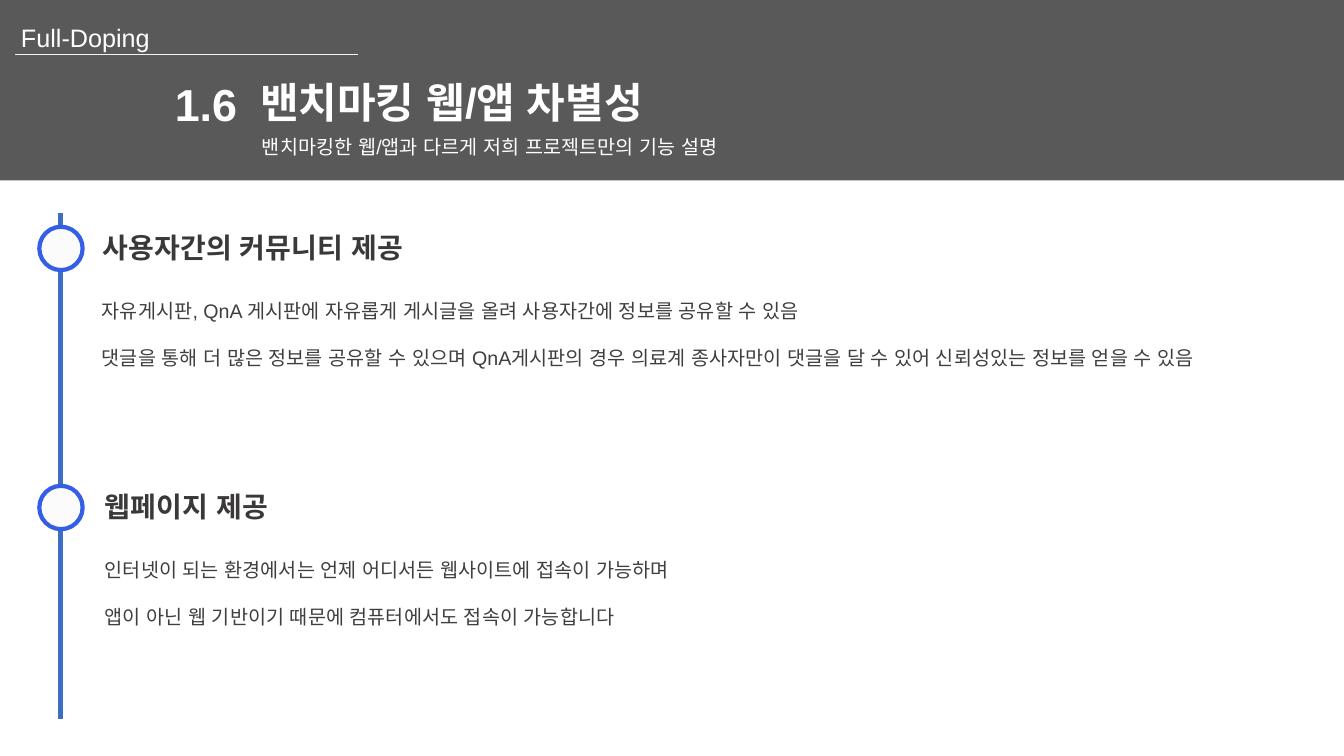
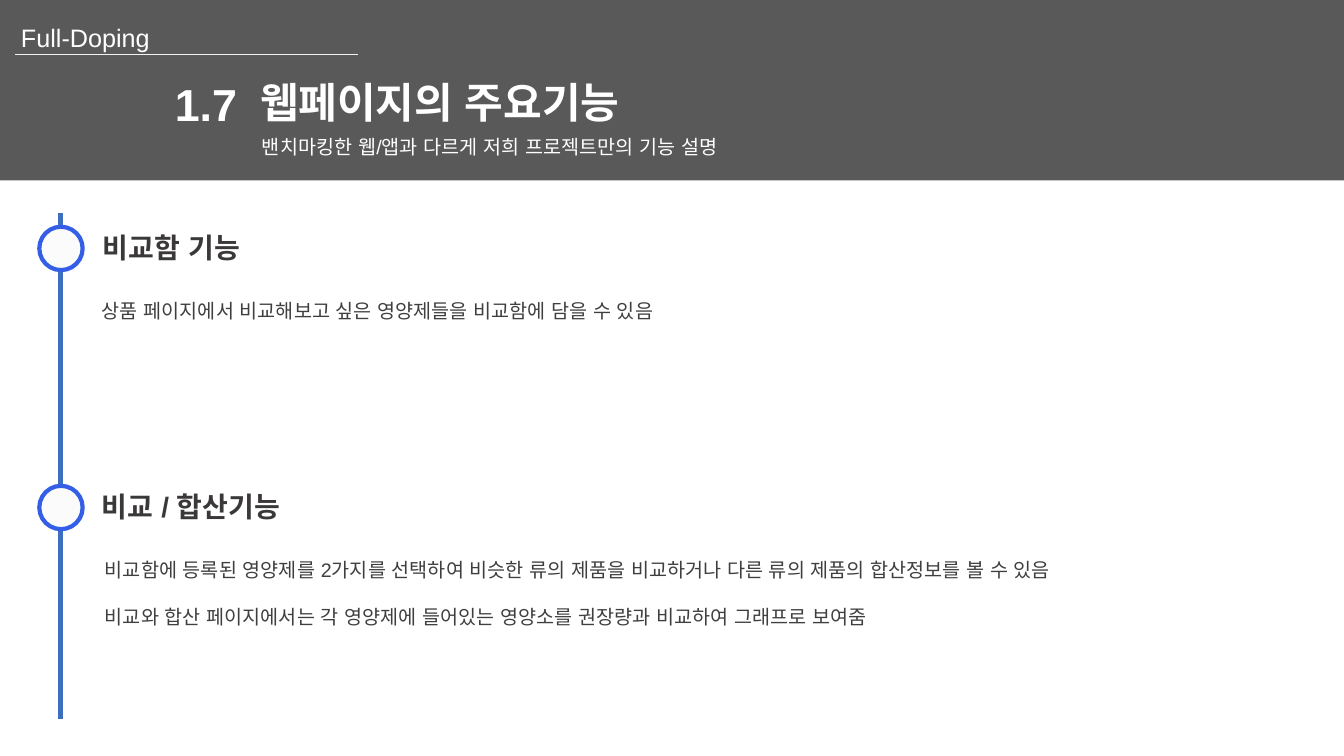
from lxml.etree import SubElement
from pptx import Presentation
from pptx.dml.color import RGBColor
from pptx.enum.shapes import MSO_CONNECTOR as Connector, MSO_SHAPE as Shape
from pptx.enum.text import MSO_ANCHOR as Anchor, MSO_AUTO_SIZE as AutoSize, PP_ALIGN as Align
from pptx.oxml.ns import qn
from pptx.util import Emu, Pt

# Content: each section is heading, left edge of heading, detail lines
BRAND = "Full-Doping"
SUBTITLE = "밴치마킹한 웹/앱과 다르게 저희 프로젝트만의 기능 설명"
SLIDES = [
    ("1.6", "밴치마킹 웹/앱 차별성", [
        ("사용자간의 커뮤니티 제공", 92, [
            "자유게시판, QnA 게시판에 자유롭게 게시글을 올려 사용자간에 정보를 공유할 수 있음",
            "댓글을 통해 더 많은 정보를 공유할 수 있으며 QnA게시판의 경우 의료계 종사자만이 "
            "댓글을 달 수 있어 신뢰성있는 정보를 얻을 수 있음",
        ]),
        ("웹페이지 제공", 94, [
            "인터넷이 되는 환경에서는 언제 어디서든 웹사이트에 접속이 가능하며",
            "앱이 아닌 웹 기반이기 때문에 컴퓨터에서도 접속이 가능합니다",
        ]),
    ]),
    ("1.7", "웹페이지의 주요기능", [
        ("비교함 기능", 92, [
            "상품 페이지에서 비교해보고 싶은 영양제들을 비교함에 담을 수 있음",
        ]),
        ("비교 / 합산기능", 91, [
            "비교함에 등록된 영양제를 2가지를 선택하여 비슷한 류의 제품을 비교하거나 "
            "다른 류의 제품의 합산정보를 볼 수 있음",
            "비교와 합산 페이지에서는 각 영양제에 들어있는 영양소를 권장량과 비교하여 그래프로 보여줌",
        ]),
    ]),
]

# Shared style, lengths in px (100 px to the inch)
SCALE = 9144
WIDTH, HEIGHT = 1333, 750
FONT = "Arial"
WHITE, BAND, RULE = "FFFFFF", "595959", "F2F2F2"
TIMELINE, RING, RING_FILL = "3E6EC2", "345EE6", "FBFBFB"
HEADING, DETAIL = "3A3838", "3F3F3F"
RING_LEFT, RING_TOP, RING_SIZE, SECTION_PITCH = 39, 225, 43, 257
DETAIL_LEFTS = (91, 94)


def px(*lengths):
    return [Emu(length * SCALE) for length in lengths]


def color(value):
    return RGBColor.from_string(value)


def write(box, area, lines, size, ink, bold=False, align=Align.LEFT, spacing=1.0):
    """Place a text box or placeholder and set its text."""
    box.left, box.top, box.width, box.height = px(*area)
    frame = box.text_frame
    frame.text = "\n".join(lines)
    frame.word_wrap = True
    frame.auto_size = AutoSize.SHAPE_TO_FIT_TEXT
    frame.vertical_anchor = Anchor.TOP
    for para in frame.paragraphs:
        properties = para._p.get_or_add_pPr()
        properties.set("marL", "0")
        properties.set("indent", "0")
        SubElement(properties, qn("a:buNone"))
        para.alignment = align
        para.line_spacing = spacing
        para.space_before = Pt(0)
        for span in para.runs:
            font = span.font
            font.name, font.size, font.bold = FONT, Pt(size), bold
            font.color.rgb = color(ink)
            SubElement(span._r.get_or_add_rPr(), qn("a:ea")).set("typeface", FONT)


def add_text(page, area, *args, **style):
    box = page.shapes.add_textbox(*px(*area))
    write(box, area, *args, **style)
    return box


def add_filled(page, kind, area, fill, outline=None):
    shape = page.shapes.add_shape(kind, *px(*area))
    shape.shadow.inherit = False
    shape.fill.solid()
    shape.fill.fore_color.rgb = color(fill)
    if outline:
        shape.line.color.rgb = color(outline)
        shape.line.width = Pt(3)
    else:
        shape.line.fill.background()
    return shape


def add_line(page, ends, ink, weight):
    line = page.shapes.add_connector(Connector.STRAIGHT, *px(*ends))
    line.line.color.rgb = color(ink)
    line.line.width = Pt(weight)
    SubElement(line.element.spPr, qn("a:effectLst"))
    return line


def brand_layout(layout, page):
    """Draw the header band on a page, then move it to the layout."""
    for holder in list(layout.placeholders):
        if holder.placeholder_format.idx >= 10:  # date, footer, number
            holder.element.getparent().remove(holder.element)
    header = [
        add_filled(page, Shape.RECTANGLE, (0, 0, WIDTH, 179), BAND),
        add_line(page, (15, 54, 355, 54), RULE, 0.75),
        add_text(page, (11, 17, 203, 40), [BRAND], 18, WHITE),
    ]
    for shape in header:
        layout.shapes.element.append(shape.element)


def fill_page(page, number, title, sections):
    # Header text
    write(page.shapes.title, (248, 71, 476, 61), [title], 30, WHITE, bold=True)
    add_text(page, (156, 71, 89, 64), [number], 32, WHITE, bold=True, align=Align.RIGHT)
    add_text(page, (250, 129, 515, 34), [SUBTITLE], 14, WHITE)

    # Timeline with one ring per section
    add_line(page, (60, 211, 60, 713), TIMELINE, 3)
    holders = page.placeholders
    for index, (heading, left, details) in enumerate(sections):
        top = RING_TOP + index * SECTION_PITCH
        add_filled(page, Shape.OVAL, (RING_LEFT, top, RING_SIZE, RING_SIZE), RING_FILL, RING)
        write(holders[2 * index + 1], (left, top - 1, 457, 44), [heading], 20, HEADING, bold=True)
        detail_area = (DETAIL_LEFTS[index], top + RING_SIZE, 1203, 10 + 47 * len(details))
        write(holders[2 * index + 2], detail_area, details, 14, DETAIL, spacing=2.0)


def main():
    deck = Presentation()
    deck.slide_width, deck.slide_height = px(WIDTH, HEIGHT)
    layout = deck.slide_layouts.get_by_name("Comparison")
    pages = [deck.slides.add_slide(layout) for _ in SLIDES]
    brand_layout(layout, pages[0])
    for page, content in zip(pages, SLIDES):
        fill_page(page, *content)
    deck.save("out.pptx")


if __name__ == "__main__":
    main()
